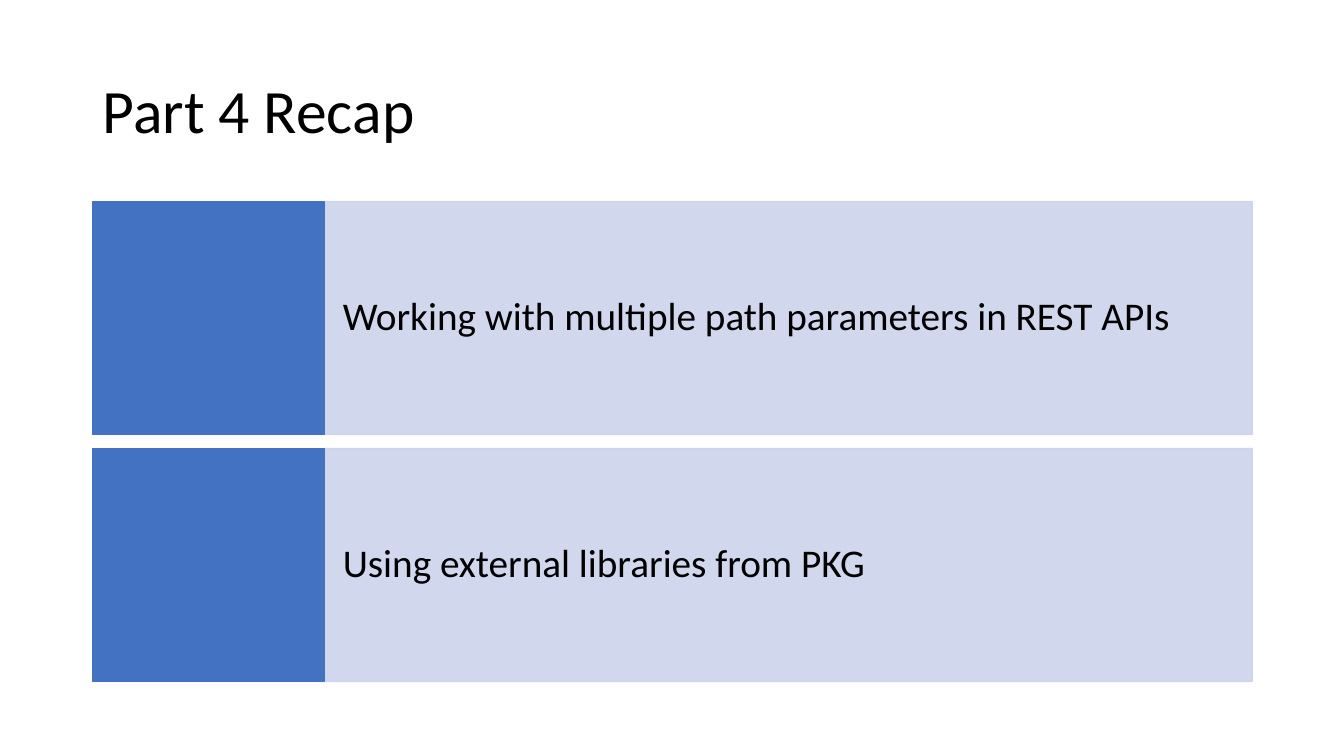
from dataclasses import dataclass
from pptx import Presentation
from pptx import util as u
from pptx.dml.color import RGBColor
from pptx.enum import shapes, text
from pptx.oxml.ns import qn
from lxml import etree


@dataclass(frozen=True)
class Theme:
    font: str = "Calibri"
    ink: RGBColor = RGBColor.from_string("000000")
    accent: RGBColor = RGBColor.from_string("4372C3")
    panel: RGBColor = RGBColor.from_string("CCD3EA")
    panel_opacity: int = 90
    title_size: int = 44
    body_size: int = 28


@dataclass(frozen=True)
class Box:
    left: float
    top: float
    width: float
    height: float

    def lengths(self):
        return [u.Inches(value) for value in (self.left, self.top, self.width, self.height)]


THEME = Theme()
TITLE_BOX = Box(0.92, 0.4, 11.5, 1.45)
ROWS_BOX = Box(0.92, 2, 11.5, 4.76)
ROW_GAP = 0.14
MARKER_WIDTH = 2.3
TOPICS = [
    "Working with multiple path parameters in REST APIs",
    "Using external libraries from PKG",
]


def write(frame, wording, size, inset_x, inset_y):
    frame.word_wrap = True
    frame.auto_size = text.MSO_AUTO_SIZE.NONE
    frame.vertical_anchor = text.MSO_ANCHOR.MIDDLE
    frame.margin_left = frame.margin_right = u.Inches(inset_x)
    frame.margin_top = frame.margin_bottom = u.Inches(inset_y)
    frame.text = wording
    para = frame.paragraphs[0]
    para.alignment = text.PP_ALIGN.LEFT
    para.line_spacing = 0.9
    para.font.name = THEME.font
    para.font.size = u.Pt(size)
    para.font.color.rgb = THEME.ink


def add_block(slide, box, color, opacity=100):
    block = slide.shapes.add_shape(shapes.MSO_SHAPE.RECTANGLE, *box.lengths())
    block.shadow.inherit = False
    block.fill.solid()
    block.fill.fore_color.rgb = color
    block.line.color.rgb = color
    block.line.width = u.Pt(1)
    if opacity < 100:
        for tint in block.element.spPr.iter(qn("a:srgbClr")):
            etree.SubElement(tint, qn("a:alpha"), val=str(opacity * 1000))
    return block


def add_title(slide, box, wording):
    title = slide.shapes.title
    title.left, title.top, title.width, title.height = box.lengths()
    write(title.text_frame, wording, THEME.title_size, 0.1, 0.05)


def add_topic_row(slide, box, topic):
    panel_box = Box(box.left + MARKER_WIDTH, box.top, box.width - MARKER_WIDTH, box.height)
    panel = add_block(slide, panel_box, THEME.panel, THEME.panel_opacity)
    write(panel.text_frame, topic, THEME.body_size, 0.18, 0.59)
    add_block(slide, Box(box.left, box.top, MARKER_WIDTH, box.height), THEME.accent)


def add_topic_rows(slide, box, topics):
    height = (box.height - ROW_GAP * (len(topics) - 1)) / len(topics)
    for index, topic in enumerate(topics):
        top = box.top + index * (height + ROW_GAP)
        add_topic_row(slide, Box(box.left, top, box.width, height), topic)


def main():
    deck = Presentation()
    deck.slide_width, deck.slide_height = u.Inches(13.33), u.Inches(7.5)
    slide = deck.slides.add_slide(deck.slide_layouts.get_by_name("Title Only"))
    add_title(slide, TITLE_BOX, "Part 4 Recap")
    add_topic_rows(slide, ROWS_BOX, TOPICS)
    deck.save("out.pptx")


if __name__ == "__main__":
    main()
